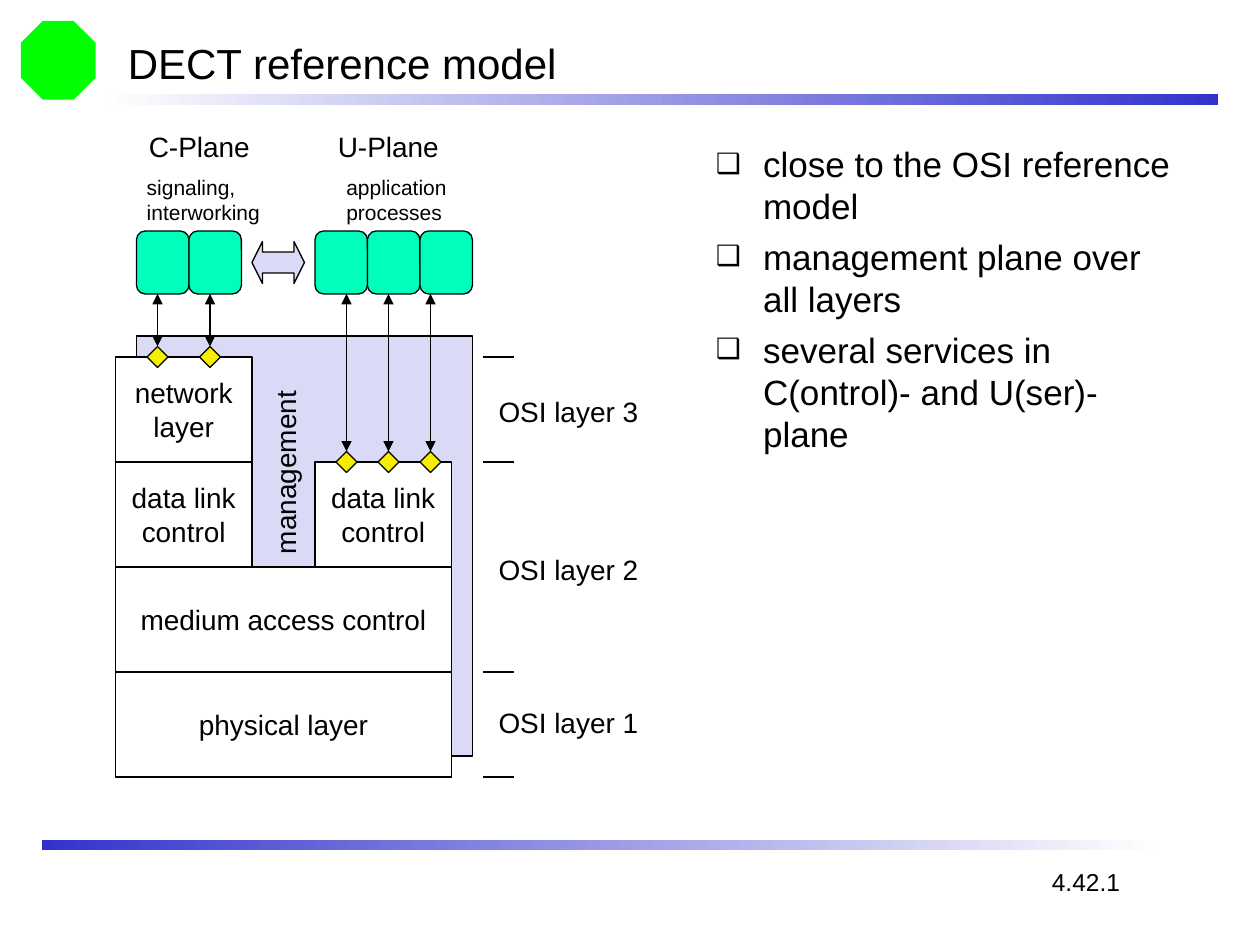
import pptx
import pptx.util
import pptx.dml.color
import pptx.enum.shapes
import pptx.enum.text
import pptx.oxml.ns
import lxml.etree

Cm, Pt = pptx.util.Cm, pptx.util.Pt
KIND = pptx.enum.shapes.MSO_SHAPE
ALIGN = pptx.enum.text.PP_ALIGN
ANCHOR = pptx.enum.text.MSO_ANCHOR
FIT = pptx.enum.text.MSO_AUTO_SIZE

THEME = {
    "font": "Arial", "ink": "000000", "paper": "FFFFFF",
    "lilac": "DADAF6", "mint": "01FFBC", "gold": "F4EE00", "green": "00FF00",
    "blue": "3333CC", "fade": "FEFEFE", "line": 0.75,
    "title": 24, "body": 20, "page": 14, "label": 16, "note": 12,
}

# Content; every place and size counts grid steps of a twelfth of an inch
STEP = 2.54 / 12
TITLE = "DECT reference model"
PAGE = "4.42.1"
POINTS = [
    "close to the OSI reference model",
    "management plane over all layers",
    "several services in C(ontrol)- and U(ser)-plane",
]
LAYERS = [  # text, left, top, width
    ("physical layer", 11, 64, 32),
    ("medium access control", 11, 54, 32),
    ("data link\ncontrol", 11, 44, 13),
    ("data link\ncontrol", 30, 44, 13),
    ("network\nlayer", 11, 34, 13),
]
TALL = 10
PLANES = [  # first box, box count, service points, their level
    (13, 2, (15, 20), 34),
    (30, 3, (33, 37, 41), 44),
]
TICKS = [34, 44, 64, 74]
LABELS = [  # text, left, top, width, height, size
    ("OSI layer 1", 46.3, 66.6, 15.7, 4.4, "label"),
    ("OSI layer 2", 46.3, 52, 15.7, 4.4, "label"),
    ("OSI layer 3", 46.3, 37, 15.7, 4.4, "label"),
    ("C-Plane", 13, 11.7, 12, 4.4, "label"),
    ("U-Plane", 31, 11.7, 12, 4.4, "label"),
    ("signaling,\ninterworking", 12.8, 16, 13.4, 6, "note"),
    ("application\nprocesses", 31.8, 16, 12.6, 6, "note"),
    (PAGE, 99, 82, 8.9, 4.1, "page"),
]


def grid(*nums):
    return [Cm(num * STEP) for num in nums]


def tint(name):
    return pptx.dml.color.RGBColor.from_string(THEME[name])


def write(frame, text, size, align=ALIGN.LEFT):
    frame.text = text
    for para in frame.paragraphs:
        para.alignment = align
        for run in para.runs:
            run.font.name = THEME["font"]
            run.font.size = Pt(THEME[size])
            run.font.color.rgb = tint("ink")


def draw(kind, box, fill, edge=True):
    shape = slide.shapes.add_shape(kind, *grid(*box))
    shape.shadow.inherit = False
    shape.fill.solid()
    shape.fill.fore_color.rgb = tint(fill)
    if edge:
        shape.line.color.rgb = tint("ink")
        shape.line.width = Pt(THEME["line"])
    else:
        shape.line.fill.background()
    return shape


def fade(box, first, last):
    bar = draw(KIND.RECTANGLE, box, "blue", edge=False)
    bar.fill.gradient()
    bar.fill.gradient_angle = 180
    for stop, name in zip(bar.fill.gradient_stops, (first, last)):
        stop.color.rgb = tint(name)


def label(text, box, size, wrap=False):
    shape = slide.shapes.add_textbox(*grid(*box))
    frame = shape.text_frame
    frame.word_wrap = wrap
    frame.auto_size = FIT.NONE if wrap else FIT.SHAPE_TO_FIT_TEXT
    write(frame, text, size)
    return shape


def link(start, end, heads=False):
    line = slide.shapes.add_connector(
        pptx.enum.shapes.MSO_CONNECTOR.STRAIGHT, *grid(*start, *end))
    line.line.color.rgb = tint("ink")
    line.line.width = Pt(THEME["line"])
    props = line._element.spPr
    if heads:
        edge = props.find(pptx.oxml.ns.qn("a:ln"))
        for tag in ("a:headEnd", "a:tailEnd"):
            lxml.etree.SubElement(edge, pptx.oxml.ns.qn(tag), type="triangle")
    lxml.etree.SubElement(props, pptx.oxml.ns.qn("a:effectLst"))


def bullet(para):
    props = para._p.get_or_add_pPr()
    props.set("marL", str(Cm(0.95)))
    props.set("indent", str(-Cm(0.95)))
    color = lxml.etree.SubElement(props, pptx.oxml.ns.qn("a:buClr"))
    lxml.etree.SubElement(color, pptx.oxml.ns.qn("a:srgbClr"), val=THEME["ink"])
    lxml.etree.SubElement(props, pptx.oxml.ns.qn("a:buSzPct"), val="80000")
    lxml.etree.SubElement(
        props, pptx.oxml.ns.qn("a:buFont"), typeface=THEME["font"])
    lxml.etree.SubElement(props, pptx.oxml.ns.qn("a:buChar"), char="❑")


deck = pptx.Presentation()
deck.slide_width, deck.slide_height = Cm(25.4), Cm(19.05)
slide = deck.slides.add_slide(deck.slide_layouts[6])

# Emblem and the two bars
draw(KIND.OCTAGON, (2, 2, 7.1, 7.5), "green", edge=False)
fade((10, 9, 106, 1), "blue", "fade")
fade((4, 80, 106, 1), "fade", "blue")

# Management plane behind the layers
draw(KIND.RECTANGLE, (13, 32, 32, 40), "lilac")
for text, left, top, wide in LAYERS:
    layer = draw(KIND.RECTANGLE, (left, top, wide, TALL), "paper")
    layer.text_frame.word_wrap = False
    layer.text_frame.vertical_anchor = ANCHOR.MIDDLE
    write(layer.text_frame, text, "label", ALIGN.CENTER)

# Processes, service points and the arrows between them
for left, count, spots, level in PLANES:
    for num in range(count):
        draw(KIND.ROUNDED_RECTANGLE, (left + 5 * num, 22, 5, 6), "mint")
    for spot in spots:
        draw(KIND.DIAMOND, (spot - 1, level - 1, 2, 2), "gold")
        link((spot, 28), (spot, level - 1), heads=True)
swap = draw(KIND.LEFT_RIGHT_ARROW, (24, 23, 5, 4), "lilac")
swap.adjustments[0], swap.adjustments[1] = 0.5, 0.25

# Layer marks and labels
for tick in TICKS:
    link((46, tick), (49, tick))
for text, *box, size in LABELS:
    label(text, box, size)
label("management", (18.2, 42.8, 17.9, 4.4), "label").rotation = 270

# Title and bullet points
head = label(TITLE, (11, 3, 102, 6), "title", wrap=True)
head.text_frame.vertical_anchor = ANCHOR.MIDDLE
body = label("\n".join(POINTS), (67, 13, 46, 67), "body", wrap=True)
for num, para in enumerate(body.text_frame.paragraphs):
    bullet(para)
    if num:
        para.space_before = Pt(5)

deck.save("out.pptx")
